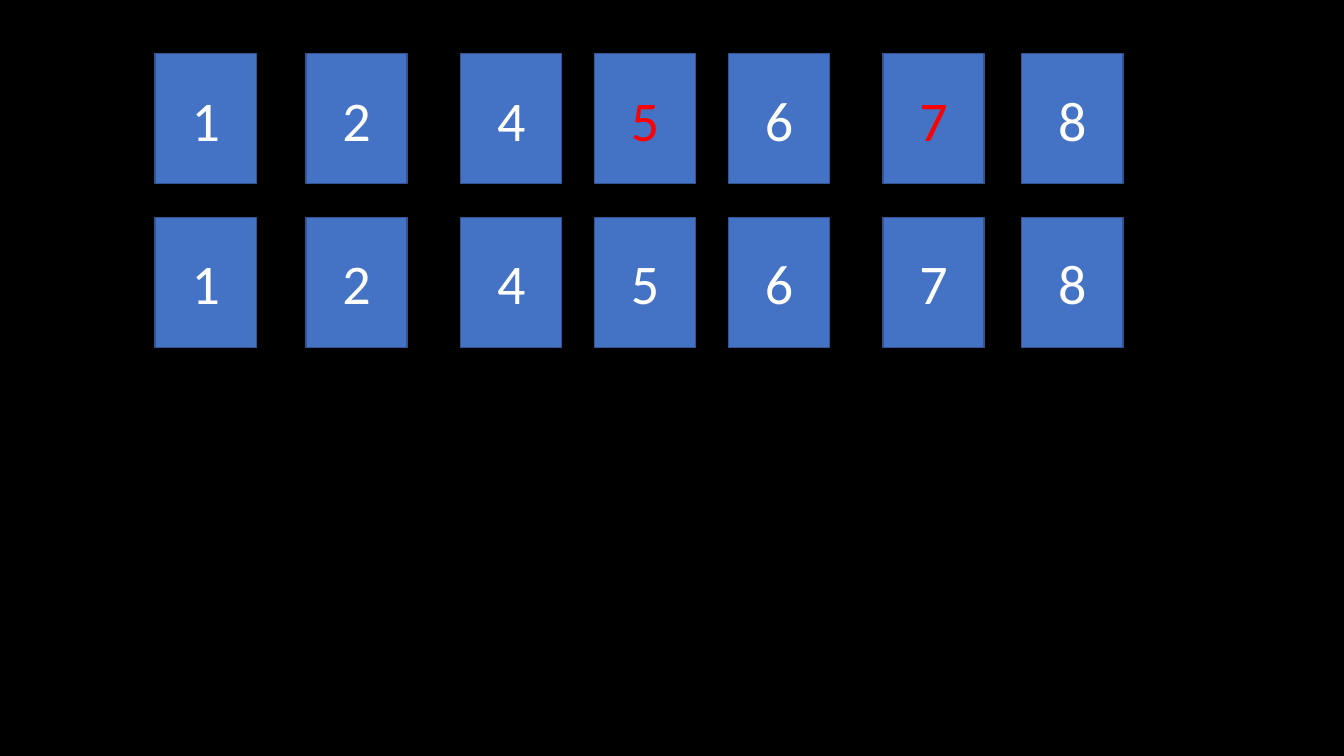
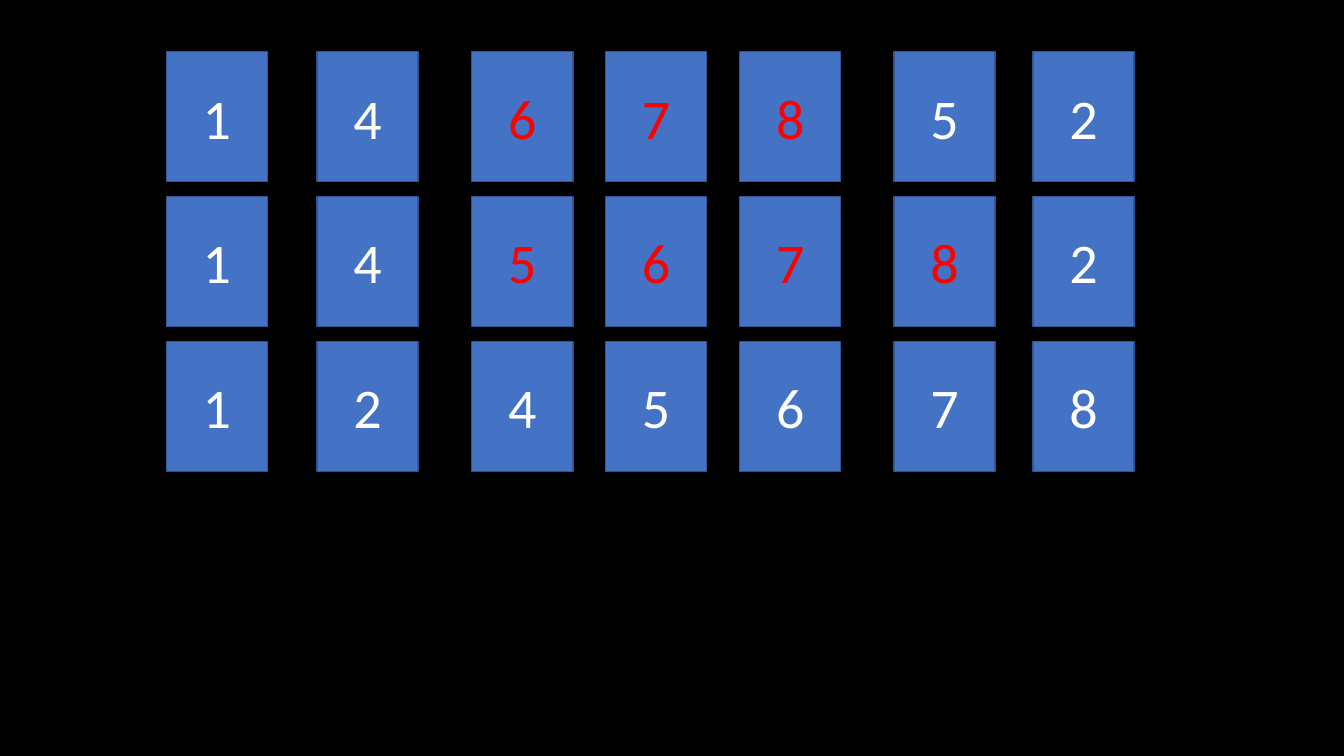
"""Build two slides showing rows of numbered cards being sorted."""
from dataclasses import dataclass

from pptx import Presentation
from pptx.dml.color import RGBColor
from pptx.enum.shapes import MSO_SHAPE
from pptx.enum.text import MSO_ANCHOR, PP_ALIGN
from pptx.shapes.group import GroupShape
from pptx.slide import Slide
from pptx.util import Cm, Pt

BLACK = RGBColor(0x00, 0x00, 0x00)
BLUE = RGBColor(0x44, 0x72, 0xC4)
DARK_BLUE = RGBColor(0x32, 0x54, 0x91)
WHITE = RGBColor(0xFF, 0xFF, 0xFF)
RED = RGBColor(0xFF, 0x00, 0x00)

RECT = MSO_SHAPE.RECTANGLE
MIDDLE = MSO_ANCHOR.MIDDLE
CENTER = PP_ALIGN.CENTER

FONT = "Calibri"
CARD_W, CARD_H = 2.55, 3.28
CARD_OFFSETS = (0, 3.8, 7.7, 11.07, 14.45, 18.34, 21.84)


@dataclass(frozen=True)
class Row:
    digits: str
    marked: str = ""


@dataclass(frozen=True)
class Board:
    left: float
    top: float
    pitch: float
    rows: tuple[Row, ...]


BOARDS = (
    Board(3.91, 1.35, 4.13, (Row("1245678", "57"), Row("1245678"))),
    Board(4.19, 1.3, 3.65, (
        Row("1467852", "678"),
        Row("1456782", "5678"),
        Row("1245678"),
    )),
)


def add_card(grp: GroupShape, x: float, y: float, digit: str, color: RGBColor) -> None:
    sp = grp.shapes.add_shape(RECT, Cm(x), Cm(y), Cm(CARD_W), Cm(CARD_H))
    sp.shadow.inherit = False
    sp.fill.solid()
    sp.fill.fore_color.rgb = BLUE
    sp.line.color.rgb = DARK_BLUE
    sp.line.width = Pt(1)
    tf = sp.text_frame
    tf.vertical_anchor = MIDDLE
    p = tf.paragraphs[0]
    p.alignment = CENTER
    r = p.add_run()
    r.text = digit
    r.font.name = FONT
    r.font.size = Pt(40)
    r.font.color.rgb = color


def add_board(s: Slide, board: Board) -> None:
    for i, row in enumerate(board.rows):
        grp = s.shapes.add_group_shape()
        y = board.top + i * board.pitch
        for offset, digit in zip(CARD_OFFSETS, row.digits):
            color = RED if digit in row.marked else WHITE
            add_card(grp, board.left + offset, y, digit, color)


def main() -> None:
    prs = Presentation()
    prs.slide_width, prs.slide_height = Cm(33.87), Cm(19.05)
    fill = prs.slide_master.background.fill
    fill.solid()
    fill.fore_color.rgb = BLACK
    for board in BOARDS:
        add_board(prs.slides.add_slide(prs.slide_layouts[6]), board)
    prs.save("out.pptx")


if __name__ == "__main__":
    main()
